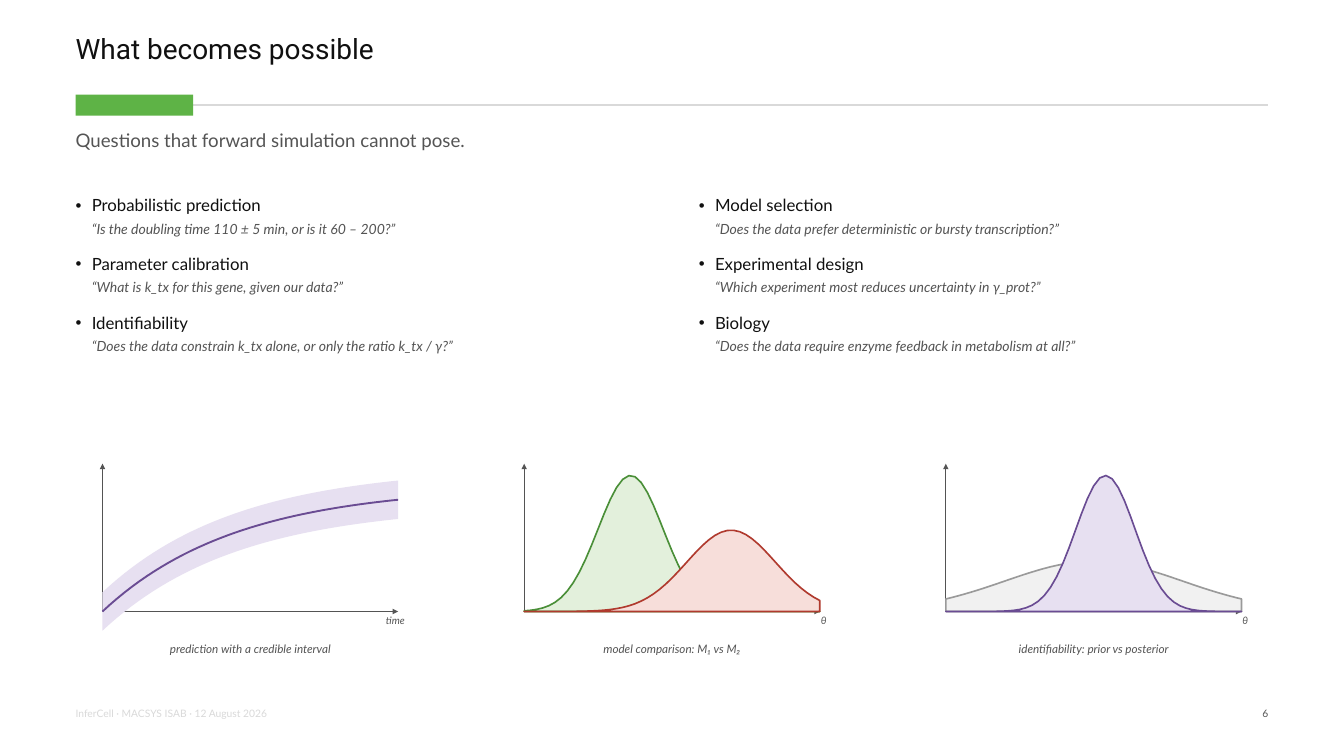
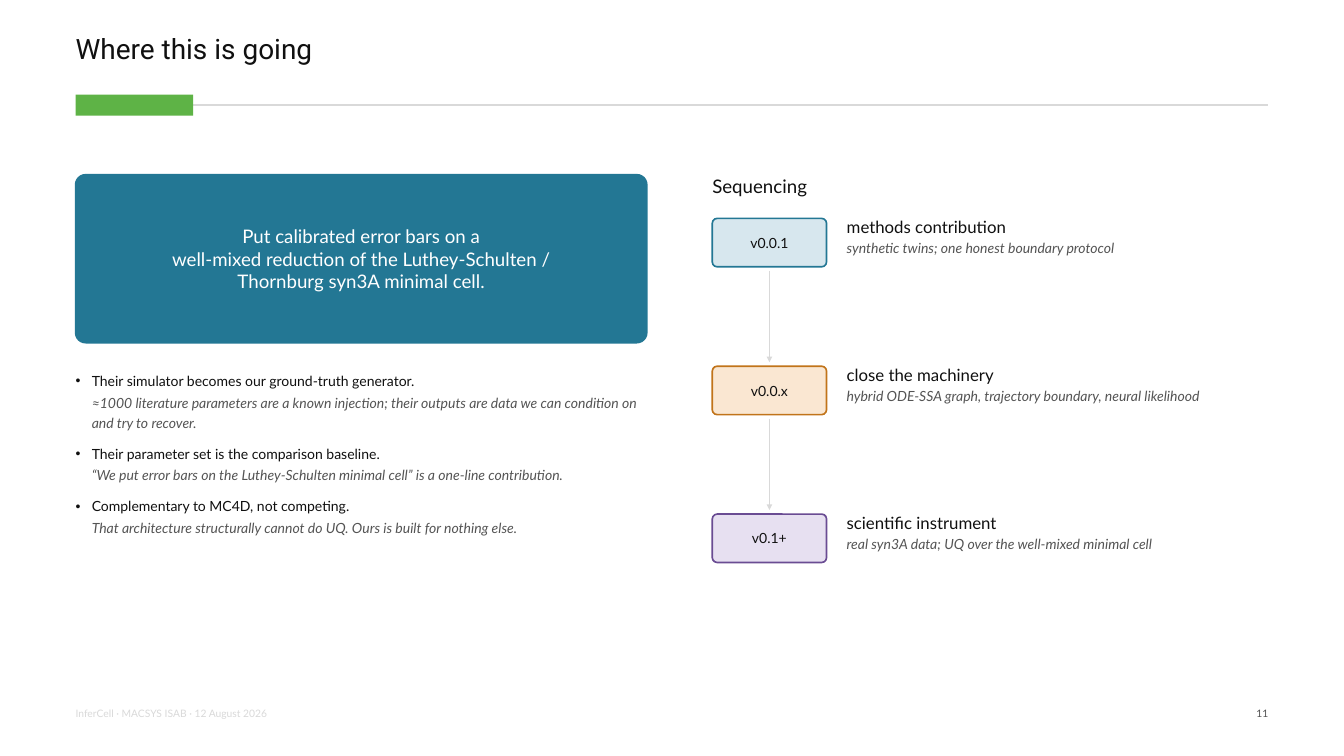
from math import exp

from lxml.etree import SubElement
from pptx import Presentation
from pptx.dml.color import RGBColor
from pptx.enum.shapes import MSO_CONNECTOR as Link, MSO_SHAPE as Preset
from pptx.enum.text import MSO_ANCHOR as Anchor, MSO_AUTO_SIZE as AutoSize, PP_ALIGN as Align
from pptx.oxml.ns import qn
from pptx.util import Pt

COLORS = {
    "ink": "101010", "muted": "545454", "rule": "D9D9D9", "accent": "5EB346", "white": "FFFFFF",
    "teal": "237794", "teal_tint": "D7E7EE", "orange": "C1741A", "orange_tint": "FAE7D2",
    "purple": "6A4C93", "purple_tint": "E7E0F1", "green": "4A8F38", "green_tint": "E3F0DC",
    "red": "B03A2E", "red_tint": "F7DEDA", "gray": "9A9A9A", "gray_tint": "F1F1F1",
}
LEFT, RIGHT = 81, 1359
TITLE_FONT, BODY_FONT = "Roboto", "Lato"
FOOTER = "InferCell · MACSYS ISAB · 12 August 2026"

# Small plots: shared frame, in points
PLOT_LEFT, PLOT_STEP = 109.8, 451.8
PLOT_WIDTH, PLOT_HEIGHT, PLOT_BASE = 316.8, 158.4, 655.2


class Deck:
    """Holds the style and the slide being filled."""

    def __init__(self):
        self.deck = Presentation()
        self.deck.slide_width, self.deck.slide_height = Pt(1440), Pt(810)
        self.page = None

    def color(self, name):
        return RGBColor.from_string(COLORS[name])

    # Text
    def frame(self, shape, margins=(0, 0), anchor=Anchor.TOP):
        frame = shape.text_frame
        frame.word_wrap = True
        frame.auto_size = AutoSize.NONE
        frame.vertical_anchor = anchor
        frame.margin_left = frame.margin_right = Pt(margins[0])
        frame.margin_top = frame.margin_bottom = Pt(margins[1])
        return frame

    def para(self, frame, text, size, color="ink", italic=False, font=BODY_FONT,
             align=Align.LEFT, before=0, spacing=None):
        first = frame.paragraphs[0]
        para = frame.add_paragraph() if first.runs else first
        para.alignment = align
        para.space_before = Pt(before)
        if spacing:
            para.line_spacing = spacing
        span = para.add_run()
        span.text = text
        span.font.name, span.font.size, span.font.italic = font, Pt(size), italic
        span.font.color.rgb = self.color(color)
        return para

    def place(self, shape, left, top, width, height):
        shape.left, shape.top, shape.width, shape.height = map(Pt, (left, top, width, height))

    def text(self, left, top, width, height, text, size, color="muted", **style):
        box = self.page.shapes.add_textbox(*map(Pt, (left, top, width, height)))
        frame = self.frame(box)
        self.para(frame, text, size, color, **style)
        return frame

    def bullets(self, index, place, items, size, gap):
        holder = self.page.placeholders[index]
        self.place(holder, *place)
        frame = self.frame(holder)
        for number, (point, detail) in enumerate(items):
            head = self.para(frame, point, size, before=gap if number else 0, spacing=1.18)
            note = self.para(frame, detail, 15, "muted", True, before=2, spacing=1.18)
            for para, indent in ((head, -17.28), (note, 0)):
                props = para._p.get_or_add_pPr()
                props.set("marL", str(Pt(17.28)))
                props.set("indent", str(Pt(indent)))
            SubElement(head._p.pPr, qn("a:buChar"), char="•")
            SubElement(note._p.pPr, qn("a:buNone"))

    # Shapes and lines
    def paint(self, shape, fill=None, line=None, weight=1.75):
        shape.shadow.inherit = False
        if fill:
            shape.fill.solid()
            shape.fill.fore_color.rgb = self.color(fill)
        else:
            shape.fill.background()
        if line:
            shape.line.color.rgb = self.color(line)
            shape.line.width = Pt(weight)
        else:
            shape.line.fill.background()

    def shape(self, preset, left, top, width, height, fill, line=None):
        shape = self.page.shapes.add_shape(preset, *map(Pt, (left, top, width, height)))
        self.paint(shape, fill, line)
        return shape

    def card(self, left, top, width, height, fill, line, lines, size, color, corner):
        card = self.shape(Preset.ROUNDED_RECTANGLE, left, top, width, height, fill, line)
        card.adjustments[0] = corner
        frame = self.frame(card, (4.32, 2.16), Anchor.MIDDLE)
        for line_text in lines:
            self.para(frame, line_text, size, color, align=Align.CENTER)

    def line(self, x1, y1, x2, y2, color, weight, arrow=True):
        link = self.page.shapes.add_connector(Link.STRAIGHT, *map(Pt, (x1, y1, x2, y2)))
        link.line.color.rgb = self.color(color)
        link.line.width = Pt(weight)
        props = link.element.spPr
        if arrow:
            SubElement(props.find(qn("a:ln")), qn("a:tailEnd"), type="triangle")
        SubElement(props, qn("a:effectLst"))

    def outline(self, points, close=True, **look):
        spots = [(Pt(x), Pt(y)) for x, y in points]
        builder = self.page.shapes.build_freeform(*spots[0])
        builder.add_line_segments(spots[1:], close=close)
        self.paint(builder.convert_to_shape(), **look)

    # Slide with title, rule, accent bar and footer
    def start(self, layout, title, number):
        self.page = self.deck.slides.add_slide(self.deck.slide_layouts[layout])
        holder = self.page.shapes.title
        self.place(holder, LEFT, 36.72, 1278, 68.4)
        self.para(self.frame(holder), title, 30, font=TITLE_FONT, spacing=0.95)
        self.line(LEFT, 112.5, RIGHT, 112.5, "rule", 1.5, arrow=False)
        self.shape(Preset.RECTANGLE, LEFT, 101.25, 126, 22.75, "accent")
        self.text(LEFT, 757.5, 895, 23, FOOTER, 11, "rule")
        self.text(RIGHT - 86.4, 757.5, 86.4, 23, str(number), 11, align=Align.RIGHT)

    # Small plots
    def axes(self, column, axis_name, caption):
        left = PLOT_LEFT + column * PLOT_STEP
        right = left + PLOT_WIDTH
        self.line(left, PLOT_BASE, right, PLOT_BASE, "muted", 1.25)
        self.line(left, PLOT_BASE, left, PLOT_BASE - PLOT_HEIGHT, "muted", 1.25)
        self.text(right - 64.8, PLOT_BASE + 2.88, 72, 21.6, axis_name, 11,
                  italic=True, align=Align.RIGHT)
        self.text(left, PLOT_BASE + 32.4, PLOT_WIDTH, 36, caption, 12.5,
                  italic=True, align=Align.CENTER)

    def curve(self, column, steps, height):
        """Points of height(t) for t from 0 to 1, as a share of the plot."""
        left = PLOT_LEFT + column * PLOT_STEP
        shares = [step / steps for step in range(steps + 1)]
        return [(left + t * PLOT_WIDTH, PLOT_BASE - height(t) * PLOT_HEIGHT) for t in shares]

    def bell(self, column, center, spread, peak, color):
        points = self.curve(column, 48, lambda t: peak * exp(-((t - center) / spread) ** 2 / 2))
        feet = [(points[-1][0], PLOT_BASE), (points[0][0], PLOT_BASE)]
        self.outline(points + feet, fill=color + "_tint", line=color)


def growth(t):
    return 0.85 * (1 - exp(-2.2 * t))


def possibilities(deck):
    deck.start(3, "What becomes possible", 6)
    deck.text(LEFT, 138.25, 1278, 39.6, "Questions that forward simulation cannot pose.", 20)

    # Two columns of questions
    deck.bullets(1, (LEFT, 205.2, 597.6, 244.8), [
        ("Probabilistic prediction", "“Is the doubling time 110 ± 5 min, or is it 60 – 200?”"),
        ("Parameter calibration", "“What is k_tx for this gene, given our data?”"),
        ("Identifiability", "“Does the data constrain k_tx alone, or only the ratio k_tx / γ?”"),
    ], 18, 14)
    deck.bullets(2, (748.8, 205.2, 597.6, 244.8), [
        ("Model selection", "“Does the data prefer deterministic or bursty transcription?”"),
        ("Experimental design", "“Which experiment most reduces uncertainty in γ_prot?”"),
        ("Biology", "“Does the data require enzyme feedback in metabolism at all?”"),
    ], 18, 14)

    # Prediction with its band
    deck.axes(0, "time", "prediction with a credible interval")
    upper = deck.curve(0, 40, lambda t: growth(t) + 0.13)
    lower = deck.curve(0, 40, lambda t: growth(t) - 0.13)
    deck.outline(upper + lower[::-1], fill="purple_tint")
    deck.outline(deck.curve(0, 40, growth), close=False, line="purple", weight=2)

    # Two models
    deck.axes(1, "θ", "model comparison: M₁ vs M₂")
    deck.bell(1, 0.36, 0.11, 0.92, "green")
    deck.bell(1, 0.70, 0.15, 0.55, "red")

    # Prior and posterior
    deck.axes(2, "θ", "identifiability: prior vs posterior")
    deck.bell(2, 0.50, 0.30, 0.34, "gray")
    deck.bell(2, 0.54, 0.10, 0.92, "purple")


def direction(deck):
    deck.start(1, "Where this is going", 11)

    # Goal and reasons
    deck.card(LEFT, 187.2, 612, 180, "teal", "teal", [
        "Put calibrated error bars on a",
        "well-mixed reduction of the Luthey-Schulten /",
        "Thornburg syn3A minimal cell.",
    ], 20, "white", 0.06)
    deck.bullets(1, (LEFT, 396, 612, 316.8), [
        ("Their simulator becomes our ground-truth generator.",
         "≈1000 literature parameters are a known injection; "
         "their outputs are data we can condition on and try to recover."),
        ("Their parameter set is the comparison baseline.",
         "“We put error bars on the Luthey-Schulten minimal cell” is a one-line contribution."),
        ("Complementary to MC4D, not competing.",
         "That architecture structurally cannot do UQ. Ours is built for nothing else."),
    ], 15, 12)

    # Version sequence
    left, width, height, step, gap = 763.2, 122.4, 51.84, 158.4, 4.32
    deck.text(left, 187.2, 583.2, 30.24, "Sequencing", 20, "ink")
    versions = [
        ("v0.0.1", "teal", "methods contribution",
         "synthetic twins; one honest boundary protocol"),
        ("v0.0.x", "orange", "close the machinery",
         "hybrid ODE-SSA graph, trajectory boundary, neural likelihood"),
        ("v0.1+", "purple", "scientific instrument",
         "real syn3A data; UQ over the well-mixed minimal cell"),
    ]
    for number, (version, color, aim, detail) in enumerate(versions):
        top = 234 + number * step
        if number:
            middle = left + width / 2
            deck.line(middle, top - step + height + gap, middle, top - gap, "rule", 2)
        deck.card(left, top, width, height, color + "_tint", color, [version], 15, "ink", 0.1)
        frame = deck.text(907.2, top - 1.44, 439.2, 122.4, aim, 18, "ink")
        deck.para(frame, detail, 15, "muted", True, before=3)


def main():
    deck = Deck()
    possibilities(deck)
    direction(deck)
    deck.deck.save("out.pptx")


if __name__ == "__main__":
    main()
